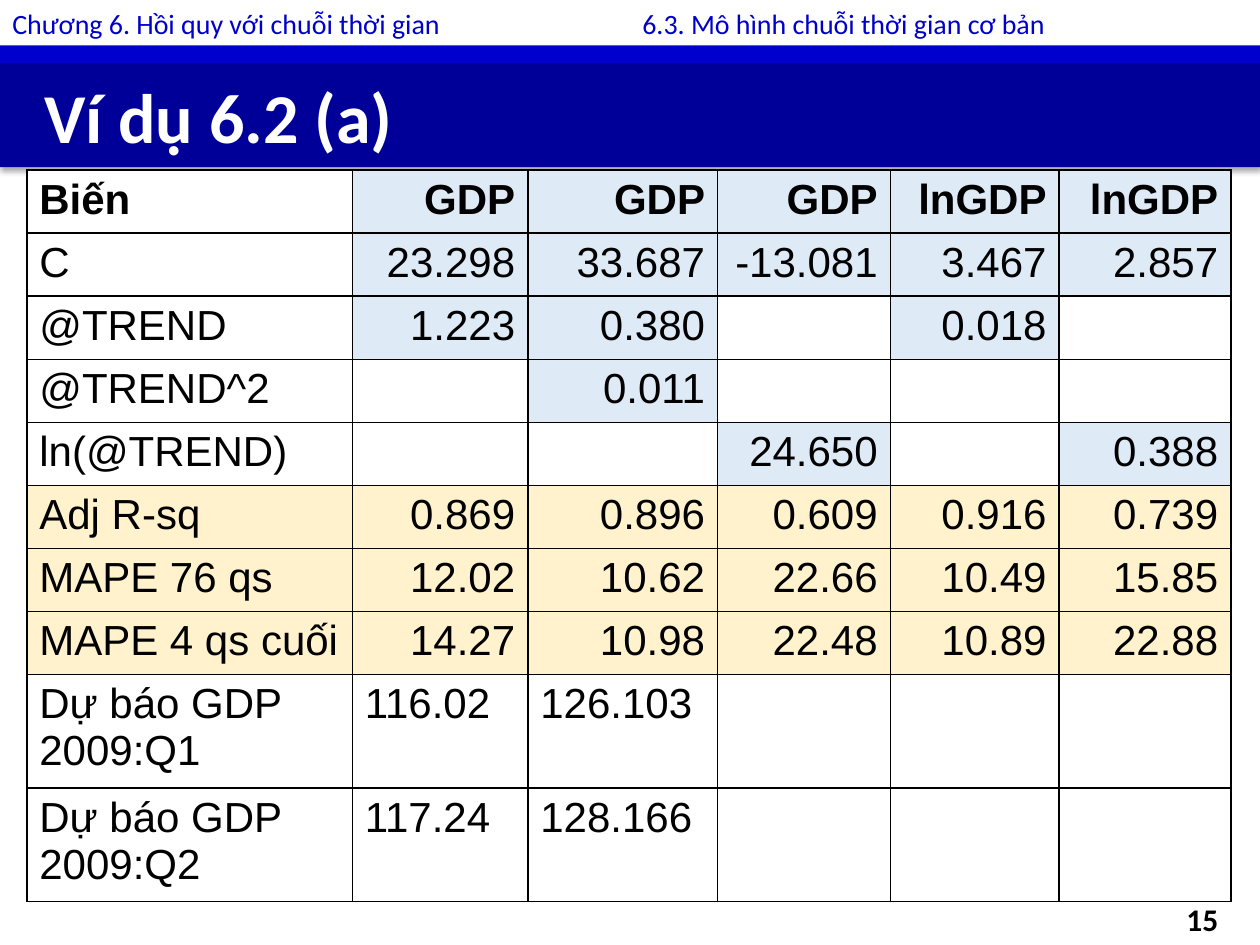
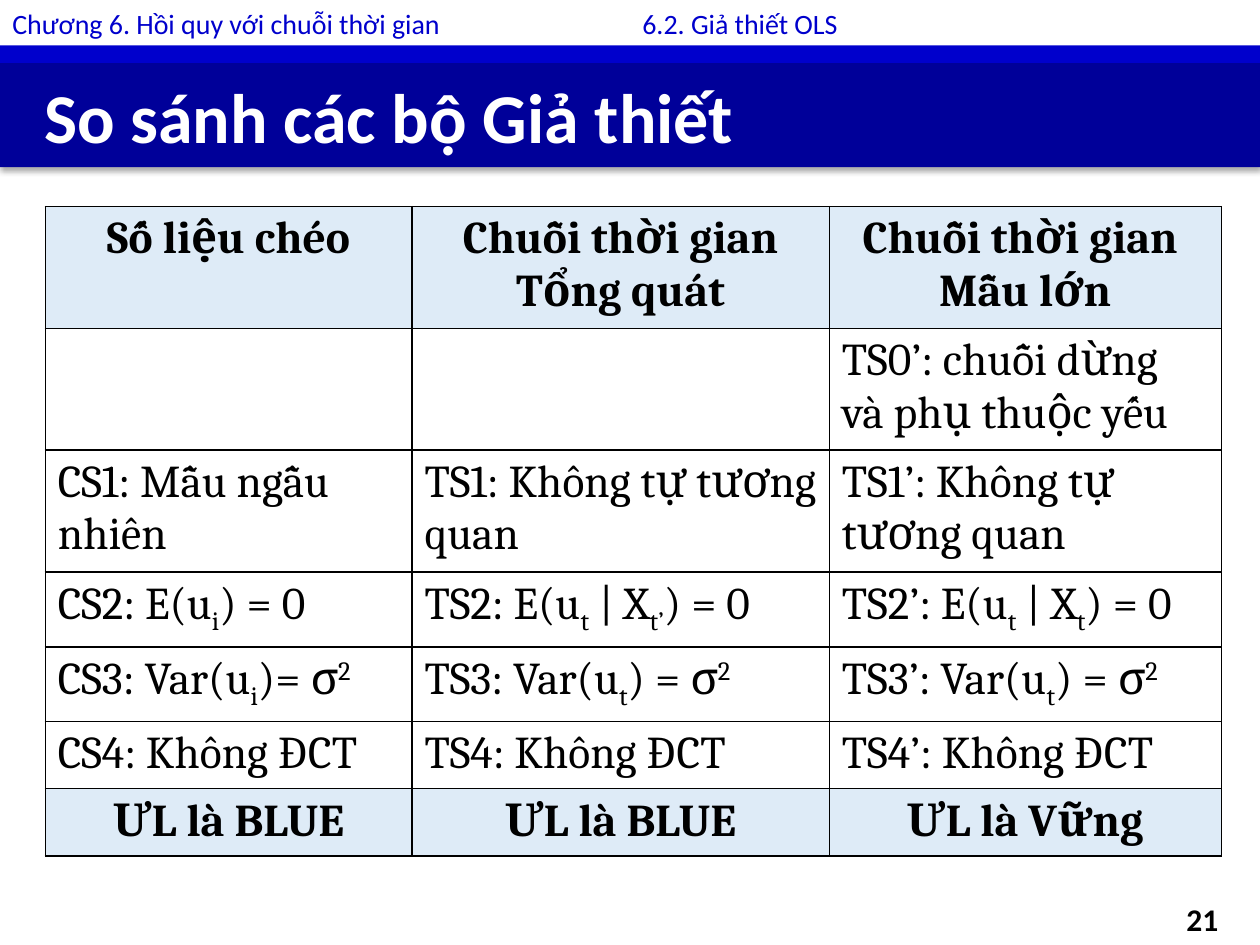
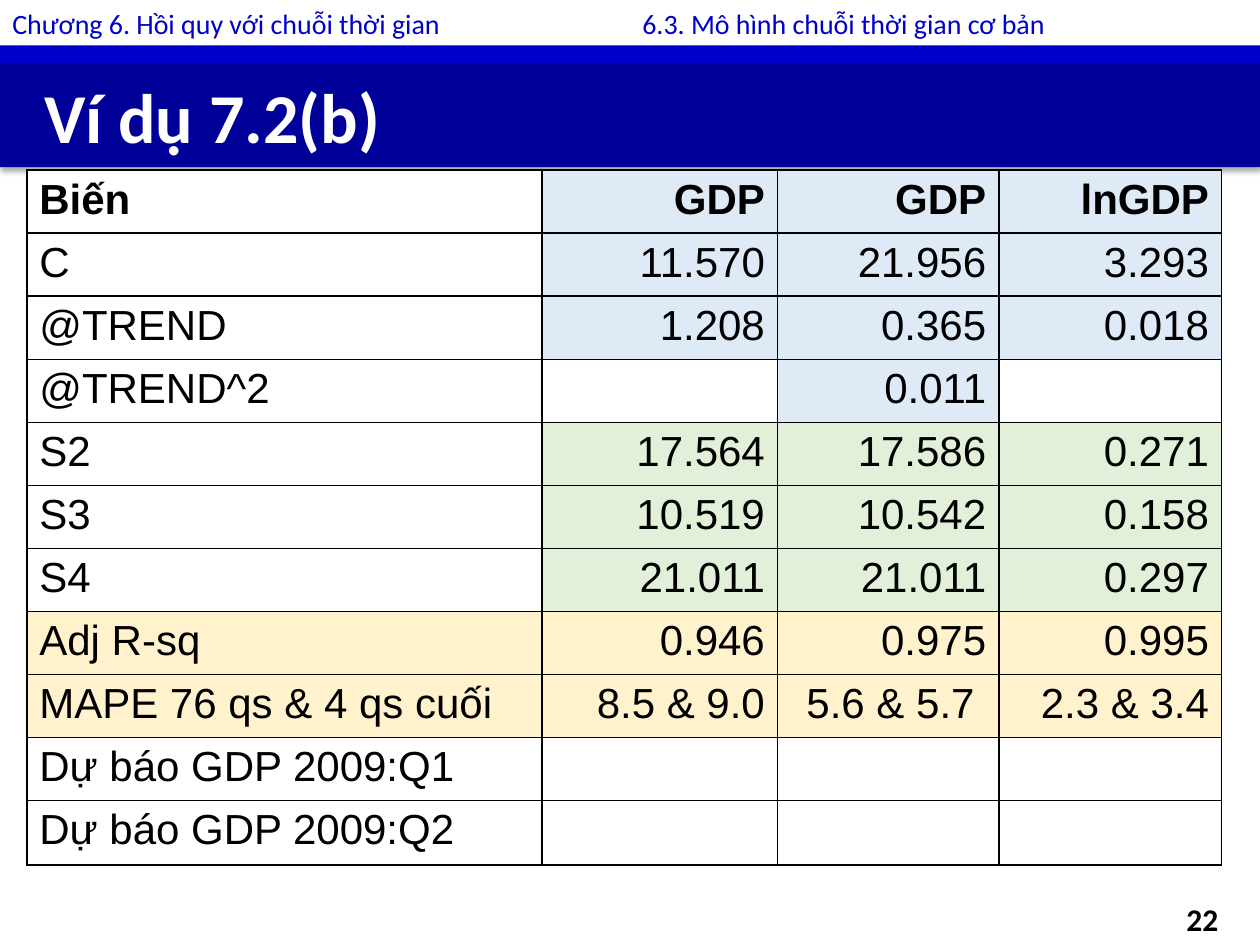
from lxml.etree import SubElement
from pptx import Presentation
from pptx.dml.color import RGBColor
from pptx.enum.shapes import MSO_SHAPE as Kind
from pptx.enum.text import MSO_ANCHOR as Anchor, MSO_AUTO_SIZE as Fit, PP_ALIGN as Align
from pptx.oxml import parse_xml
from pptx.oxml.ns import nsdecls, qn
from pptx.util import Pt

NAVY = RGBColor(0x00, 0x00, 0x99)
BLUE = RGBColor(0x00, 0x00, 0xCC)
WHITE = RGBColor(0xFF, 0xFF, 0xFF)
BLACK = RGBColor(0x00, 0x00, 0x00)
SKY = RGBColor(0xDE, 0xEB, 0xF7)
CREAM = RGBColor(0xFF, 0xF2, 0xCC)
MINT = RGBColor(0xE2, 0xF0, 0xD9)

HEAD = (0, 0, 720, 26.6)
BAND = (0, 26, 720, 10)
TITLE = (0, 36, 720, 59.5)
PAGE = (643.5, 510.5, 59.8, 28.8)

CHAPTER = "Chương 6. Hồi quy với chuỗi thời gian"
MODELS = "6.3. Mô hình chuỗi thời gian cơ bản"

TREND = [
    (SKY, "Biến", "GDP", "GDP", "GDP", "lnGDP", "lnGDP"),
    (SKY, "C", "23.298", "33.687", "-13.081", "3.467", "2.857"),
    (SKY, "@TREND", "1.223", "0.380", "", "0.018", ""),
    (SKY, "@TREND^2", "", "0.011", "", "", ""),
    (SKY, "ln(@TREND)", "", "", "24.650", "", "0.388"),
    (CREAM, "Adj R-sq", "0.869", "0.896", "0.609", "0.916", "0.739"),
    (CREAM, "MAPE 76 qs", "12.02", "10.62", "22.66", "10.49", "15.85"),
    (CREAM, "MAPE 4 qs cuối", "14.27", "10.98", "22.48", "10.89", "22.88"),
    (WHITE, "Dự báo GDP 2009:Q1", "116.02", "126.103", "", "", ""),
    (WHITE, "Dự báo GDP 2009:Q2", "117.24", "128.166", "", "", ""),
]

SEASON = [
    (SKY, "Biến", "GDP", "GDP", "lnGDP"),
    (SKY, "C", "11.570", "21.956", "3.293"),
    (SKY, "@TREND", "1.208", "0.365", "0.018"),
    (SKY, "@TREND^2", "", "0.011", ""),
    (MINT, "S2", "17.564", "17.586", "0.271"),
    (MINT, "S3", "10.519", "10.542", "0.158"),
    (MINT, "S4", "21.011", "21.011", "0.297"),
    (CREAM, "Adj R-sq", "0.946", "0.975", "0.995"),
    (CREAM, "MAPE 76 qs & 4 qs cuối", "8.5 & 9.0", "5.6 & 5.7 ", "2.3 & 3.4"),
    (WHITE, "Dự báo GDP 2009:Q1", "", "", ""),
    (WHITE, "Dự báo GDP 2009:Q2", "", "", ""),
]

RULES = [
    ("Số liệu chéo", "Chuỗi thời gian\nTổng quát", "Chuỗi thời gian \nMẫu lớn"),
    ("", "", "TS0’: chuỗi dừng và phụ thuộc yếu"),
    ("CS1: Mẫu ngẫu nhiên", "TS1: Không tự tương quan", "TS1’: Không tự tương quan"),
    ("CS2: E(u_i_) = 0", "TS2: E(u_t_ | X_t’_) = 0", "TS2’: E(u_t_ | X_t_) = 0"),
    ("CS3: Var(u_i_)= σ_2_", "TS3: Var(u_t_) = σ_2_", "TS3’: Var(u_t_) = σ_2_"),
    ("CS4: Không ĐCT", "TS4: Không ĐCT", "TS4’: Không ĐCT"),
    ("ƯL là BLUE", "ƯL là BLUE", "ƯL là Vững"),
]


def points(box):
    """Turn a box of plain numbers into point lengths."""
    return [Pt(n) for n in box]


def write(frame, text, font, size, color, bold=False, align=Align.LEFT):
    """Set text, with index marks between underscores, and format its runs."""
    frame.text = text
    for para in frame.paragraphs:
        para.alignment = align
        parts = para.text.split("_")
        para.text = parts[0]
        for n, part in enumerate(parts[1:], 1):
            if part:
                run = para.add_run()
                run.text = part
                if n % 2:
                    base = 30000 if part.isdigit() else -25000
                    run.font._element.set("baseline", str(base))
        for run in para.runs:
            run.font.name = font
            run.font.size = Pt(size)
            run.font.color.rgb = color
            run.font.bold = bold


def label(slide, box, text, size, color, **style):
    """Add a text box in the heading font with tabs an inch apart."""
    frame = slide.shapes.add_textbox(*points(box)).text_frame
    frame.word_wrap = True
    write(frame, text, "Calibri", size, color, **style)
    frame.paragraphs[0]._p.get_or_add_pPr().set("defTabSz", str(Pt(72)))
    return frame


def banner(slide, box, text):
    """Format the title placeholder as a band with a soft shadow."""
    title = slide.shapes.title
    title.left, title.top, title.width, title.height = points(box)
    title.fill.solid()
    title.fill.fore_color.rgb = NAVY
    frame = title.text_frame
    write(frame, text, "Calibri", 40, WHITE, bold=True)
    frame.vertical_anchor = Anchor.MIDDLE
    frame.auto_size = Fit.NONE
    props = frame.paragraphs[0]._p.get_or_add_pPr()
    props.set("marL", str(Pt(18)))
    props.set("indent", "0")
    title._element.spPr.append(parse_xml(
        f'<a:effectLst {nsdecls("a")}><a:outerShdw blurRad="{Pt(3.5)}" '
        f'dist="{Pt(2.2)}" dir="5400000" algn="t" rotWithShape="0">'
        '<a:srgbClr val="000000"><a:alpha val="32000"/></a:srgbClr>'
        '</a:outerShdw></a:effectLst>'))


def page(deck, title, section, number):
    """Add a slide with its heading line, bands and page number."""
    slide = deck.slides.add_slide(deck.slide_layouts[5])
    band = slide.shapes.add_shape(Kind.RECTANGLE, *points(BAND))
    band.shadow.inherit = False
    band.fill.solid()
    band.fill.fore_color.rgb = BLUE
    band.line.fill.background()
    banner(slide, TITLE, title)
    label(slide, HEAD, f"{CHAPTER}\t\t{section}", 16, BLUE)
    foot = label(slide, PAGE, number, 18, BLACK, bold=True, align=Align.RIGHT)
    foot.vertical_anchor = Anchor.MIDDLE
    return slide


def border(cell):
    """Draw a thin black line on all four sides of a cell."""
    props = cell._tc.get_or_add_tcPr()
    for n, side in enumerate(("lnL", "lnR", "lnT", "lnB")):
        line = parse_xml(f'<a:{side} {nsdecls("a")} w="{Pt(1)}"/>')
        fill = SubElement(line, qn("a:solidFill"))
        SubElement(fill, qn("a:srgbClr")).set("val", str(BLACK))
        props.insert(n, line)


def grid(slide, box, cols, rows):
    """Add a plain table in the box and return it with its sizes set."""
    frame = slide.shapes.add_table(len(rows), len(cols), *points(box))
    table = frame.table
    table.first_row = table.horz_banding = False
    for col, width in zip(table.columns, cols):
        col.width = Pt(width)
    for row, height in zip(table.rows, rows):
        row.height = Pt(height)
    frame.width, frame.height = points(box[2:])
    return table


def put(cell, text, tone, font, size, bold, align):
    """Fill, frame and write one cell."""
    cell.fill.solid()
    cell.fill.fore_color.rgb = tone
    border(cell)
    write(cell.text_frame, text, font, size, BLACK, bold, align)


def results(slide, box, cols, rows, data):
    """Place a table of estimates, tinted where a row has values."""
    table = grid(slide, box, cols, rows)
    for r, (tone, *texts) in enumerate(data):
        for c, text in enumerate(texts):
            tinted = text and (c > 0 or tone == CREAM)
            align = Align.RIGHT if c and tone != WHITE else Align.LEFT
            put(table.cell(r, c), text, tone if tinted else WHITE,
                "Arial", 24, r == 0, align)


def compare(slide, box, cols, rows, data):
    """Place a table of assumptions with tinted first and last rows."""
    table = grid(slide, box, cols, rows)
    for r, texts in enumerate(data):
        edge = r in (0, len(data) - 1)
        for c, text in enumerate(texts):
            put(table.cell(r, c), text, SKY if edge else WHITE,
                "Cambria", 26, edge, Align.CENTER if edge else Align.LEFT)


def main():
    """Build the three slides and save them."""
    deck = Presentation()
    deck.slide_width, deck.slide_height = Pt(720), Pt(540)
    slide = page(deck, "Ví dụ 6.2 (a)", MODELS, "15")
    results(slide, (15.3, 97.2, 688.1, 417.6),
            (186, 100.3, 108.5, 98.7, 96.5, 98.1),
            [35.5] * 8 + [64] * 2, TREND)
    slide = page(deck, "So sánh các bộ Giả thiết", "6.2. Giả thiết OLS", "21")
    compare(slide, (25.9, 118.1, 672, 362.2), (209.5, 238.5, 224),
            [29.5] * 3 + [33.8] + [29.5] * 3, RULES)
    slide = page(deck, "Ví dụ 7.2(b)", MODELS, "22")
    results(slide, (15.3, 97.2, 682.8, 396.7), (294.3, 134.7, 126.5, 127.3),
            [34.25] * 9 + [35.5, 36.7], SEASON)
    deck.save("out.pptx")


if __name__ == "__main__":
    main()
